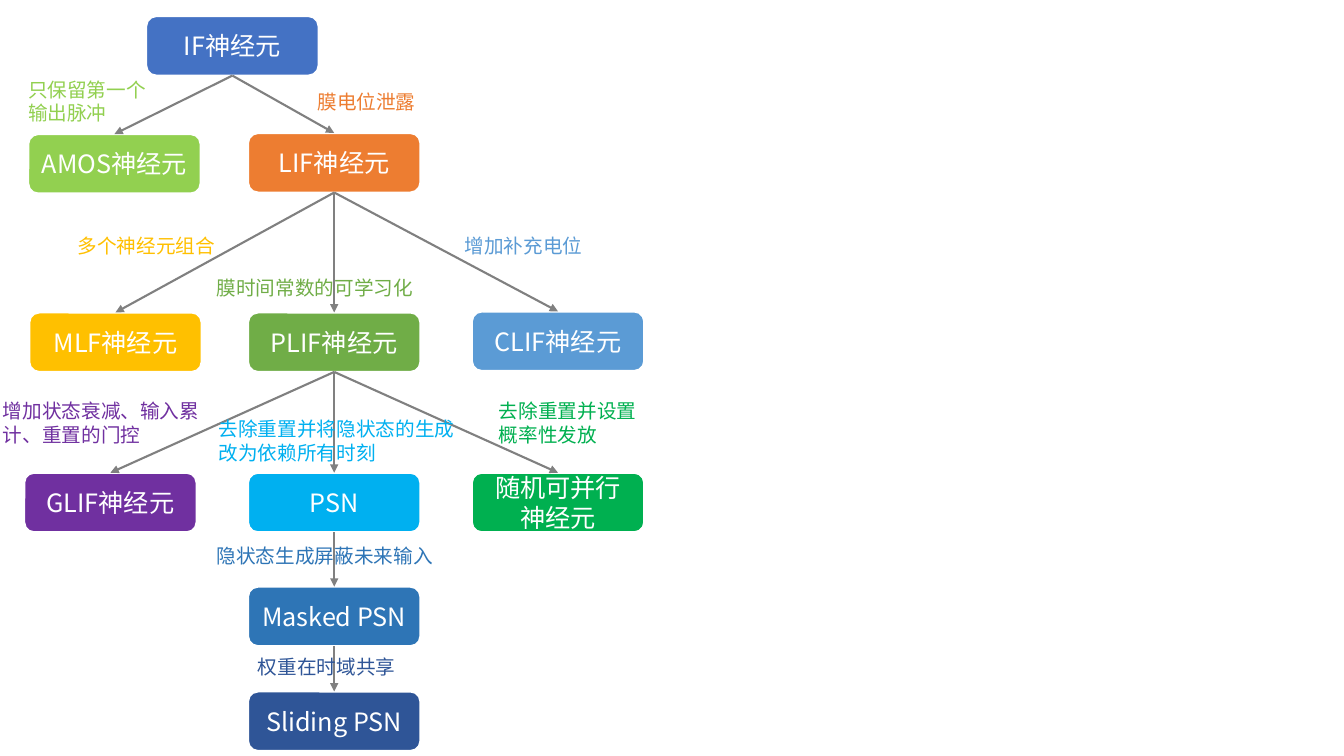
from collections import namedtuple
from lxml.etree import SubElement
from pptx import Presentation
from pptx.dml.color import RGBColor
from pptx.enum.shapes import MSO_CONNECTOR as Connector, MSO_SHAPE as Shape
from pptx.enum.text import MSO_ANCHOR as Anchor, MSO_AUTO_SIZE as AutoSize, PP_ALIGN as Align
from pptx.oxml.ns import qn
from pptx.util import Pt

PX = 9144
THEME = {
    "font": "Noto Sans CJK SC",
    "box_size": 18,
    "label_size": 14,
    "line_width": 1.5,
    "white": "FFFFFF",
    "arrow": "808080",
    "if": "4472C4",
    "amos": "92D050",
    "lif": "ED7D31",
    "mlf": "FFC000",
    "plif": "70AD47",
    "clif": "5B9BD5",
    "glif": "7030A0",
    "psn": "00B0F0",
    "random": "00B050",
    "masked": "2E75B6",
    "sliding": "2F5597",
}
BOX_WIDTH, BOX_HEIGHT = 171, 59
MIDDLE, RIGHT = 246, 468

Neuron = namedtuple("Neuron", "key name left top")
Step = namedtuple("Step", "parent child label left top width height")

neurons = [
    Neuron("if", "IF神经元", 145, 16),
    Neuron("amos", "AMOS神经元", 28, 133),
    Neuron("lif", "LIF神经元", MIDDLE, 132),
    Neuron("mlf", "MLF神经元", 29, 310),
    Neuron("plif", "PLIF神经元", MIDDLE, 310),
    Neuron("clif", "CLIF神经元", RIGHT, 309),
    Neuron("glif", "GLIF神经元", 24, 469),
    Neuron("psn", "PSN", MIDDLE, 469),
    Neuron("random", "随机可并行神经元", RIGHT, 469),
    Neuron("masked", "Masked PSN", MIDDLE, 582),
    Neuron("sliding", "Sliding PSN", MIDDLE, 686),
]
steps = [
    Step("if", "amos", "只保留第一个输出脉冲", 18, 72, 138, 57),
    Step("if", "lif", "膜电位泄露", 305, 84, 154, 34),
    Step("lif", "mlf", "多个神经元组合", 67, 227, 198, 34),
    Step("lif", "plif", "膜时间常数的可学习化", 205, 269, 318, 34),
    Step("lif", "clif", "增加补充电位", 451, 227, 198, 34),
    Step("plif", "glif", "增加状态衰减、输入累计、重置的门控", -7, 391, 224, 57),
    Step("plif", "psn", "去除重置并将隐状态的生成改为依赖所有时刻", 207, 409, 257, 57),
    Step("plif", "random", "去除重置并设置概率性发放", 485, 391, 171, 57),
    Step("psn", "masked", "隐状态生成屏蔽未来输入", 205, 535, 298, 34),
    Step("masked", "sliding", "权重在时域共享", 246, 645, 298, 34),
]


def color(key):
    return RGBColor.from_string(THEME[key])


def write(shape, text, size, color_key, align):
    shape.text_frame.word_wrap = True
    paragraph = shape.text_frame.paragraphs[0]
    paragraph.alignment = align
    run = paragraph.add_run()
    run.text = text
    run.font.size = Pt(THEME[size])
    run.font.name = THEME["font"]
    run.font.color.rgb = color(color_key)
    SubElement(run.font._element, qn("a:ea"), typeface=THEME["font"])


presentation = Presentation()
presentation.slide_width = 1333 * PX
presentation.slide_height = 750 * PX
slide = presentation.slides.add_slide(presentation.slide_layouts[6])

boxes = {}
for neuron in neurons:
    box = slide.shapes.add_shape(
        Shape.ROUNDED_RECTANGLE,
        neuron.left * PX, neuron.top * PX, BOX_WIDTH * PX, BOX_HEIGHT * PX,
    )
    box.shadow.inherit = False
    box.fill.solid()
    box.fill.fore_color.rgb = color(neuron.key)
    box.line.color.rgb = color("white")
    box.line.width = Pt(THEME["line_width"])
    box.text_frame.vertical_anchor = Anchor.MIDDLE
    write(box, neuron.name, "box_size", "white", Align.CENTER)
    boxes[neuron.key] = box

for step in steps:
    arrow = slide.shapes.add_connector(Connector.STRAIGHT, 0, 0, 0, 0)
    arrow.begin_connect(boxes[step.parent], 2)
    arrow.end_connect(boxes[step.child], 0)
    arrow.line.color.rgb = color("arrow")
    arrow.line.width = Pt(THEME["line_width"])
    SubElement(arrow.line._get_or_add_ln(), qn("a:tailEnd"), type="triangle")
    SubElement(arrow._element.spPr, qn("a:effectLst"))

for step in steps:
    label = slide.shapes.add_textbox(
        step.left * PX, step.top * PX, step.width * PX, step.height * PX
    )
    label.text_frame.auto_size = AutoSize.SHAPE_TO_FIT_TEXT
    write(label, step.label, "label_size", step.child, Align.LEFT)

presentation.save("out.pptx")
